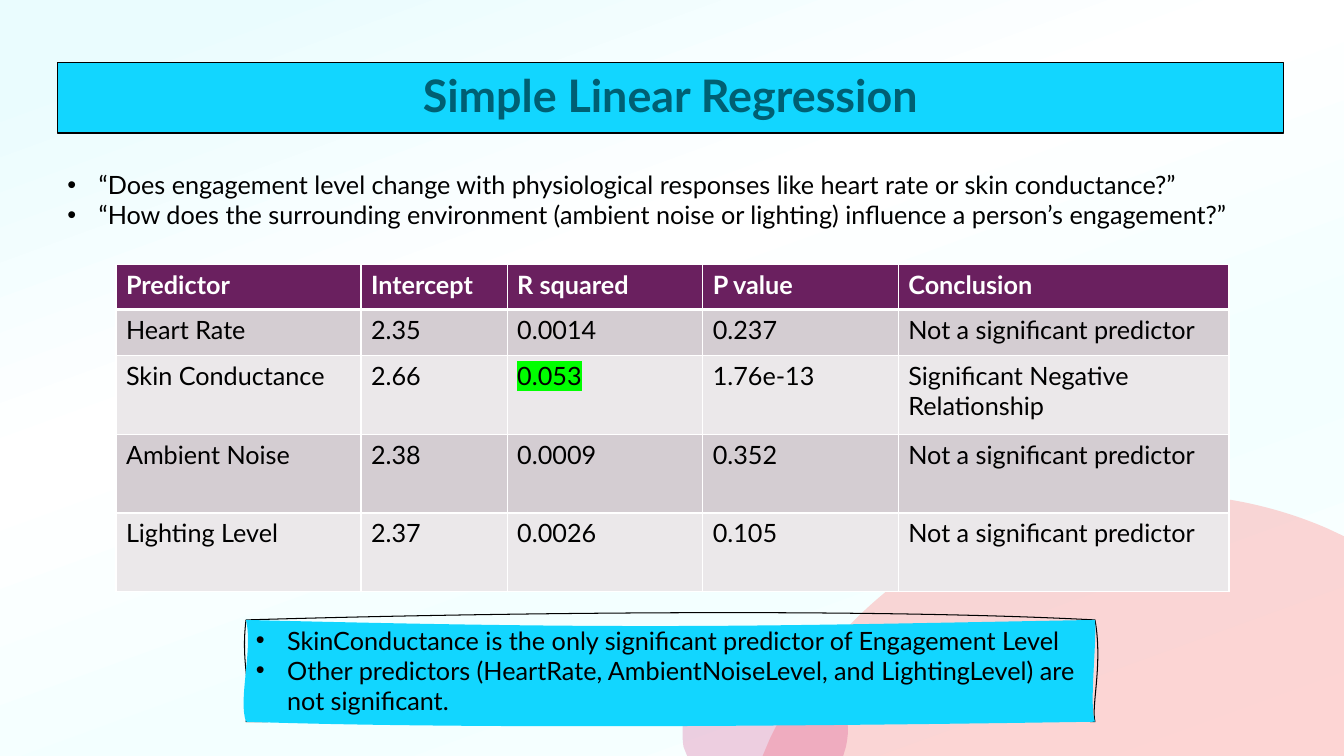
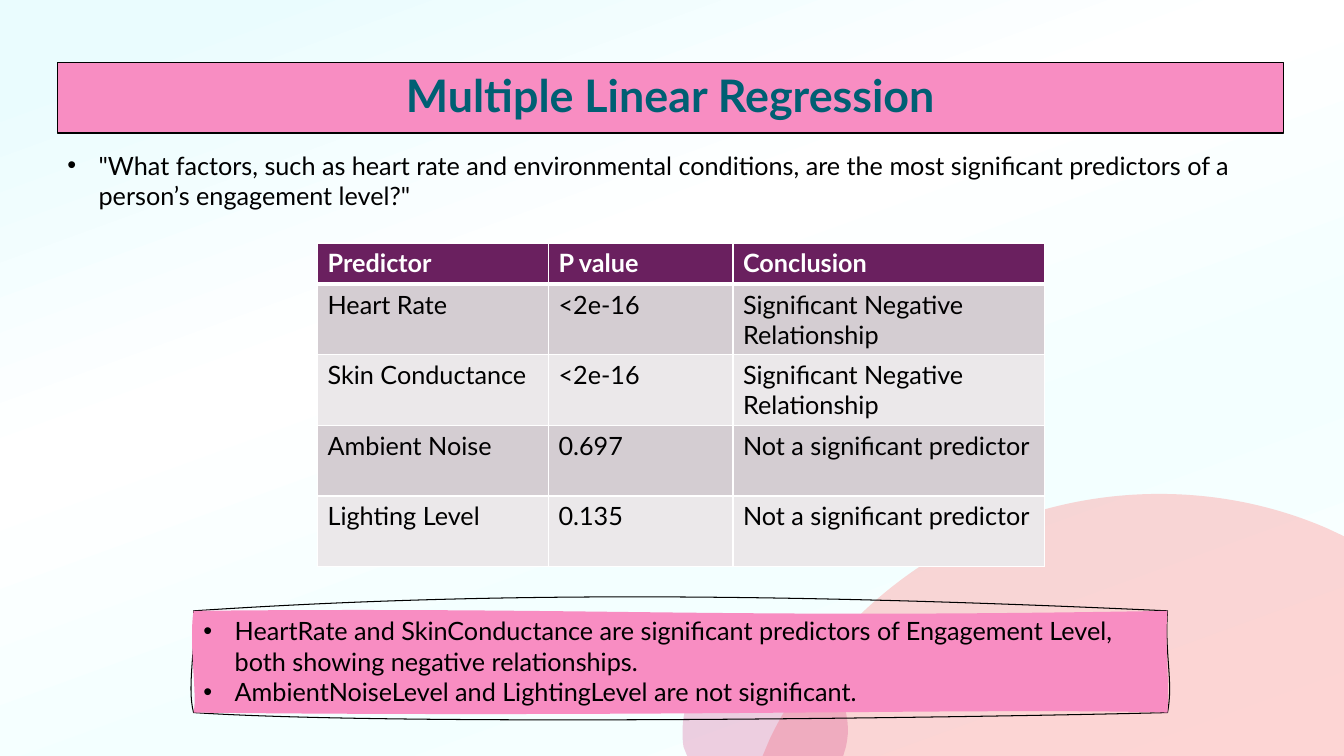
from lxml import etree
from pptx import Presentation
from pptx import util as u
from pptx.dml.color import RGBColor
from pptx.enum import shapes, text
from pptx.oxml.ns import qn

Inches = u.Inches
BLACK = RGBColor(0x00, 0x00, 0x00)
WHITE = RGBColor(0xFF, 0xFF, 0xFF)
TEAL = RGBColor(0x00, 0x5F, 0x73)
CYAN = RGBColor(0x12, 0xD6, 0xFF)
PINK = RGBColor(0xF8, 0x8D, 0xC2)
CORAL = RGBColor(0xFF, 0x76, 0x75)
MAGENTA = RGBColor(0xC4, 0x0C, 0x67)
PLUM = RGBColor(0x6A, 0x20, 0x5F)
DARK_BAND = RGBColor(0xD4, 0xCD, 0xD2)
LIGHT_BAND = RGBColor(0xEB, 0xE8, 0xEA)
GREEN = RGBColor(0x00, 0xFF, 0x00)

TITLE = {"name": "Lato", "size": u.Pt(32), "bold": True}
HEADER = {"name": "Lato", "size": u.Pt(18), "bold": True}
BODY = {"name": "Lato", "size": u.Pt(18), "bold": False}

BACKDROP = [(7, "EAFCFE"), (38, "FFFFFF"), (66, "F3FFFF"), (100, "FDFFFE")]
DISCS = [
    ((7.56, 4.9, 5.77, 2.61), CORAL, 30, (11.5, 4.9), [
        (12.09, 4.9, 12.65, 5.02, 13.16, 5.24), (13.33, 5.32), (13.33, 7.51),
        (7.56, 7.51), (7.64, 7.32), (8.34, 5.89, 9.8, 4.9, 11.5, 4.9)]),
    ((6.77, 6.43, 1.64, 1.08), MAGENTA, 20, (7.59, 6.43), [
        (8.04, 6.43, 8.41, 6.79, 8.41, 7.25), (8.41, 7.3, 8.4, 7.36, 8.39, 7.41),
        (8.36, 7.51), (6.82, 7.51), (6.78, 7.41),
        (6.77, 7.36, 6.77, 7.3, 6.77, 7.25), (6.77, 6.79, 7.13, 6.43, 7.59, 6.43)]),
]
NOT_SIGNIFICANT = "Not a significant predictor"
NEGATIVE = "Significant Negative Relationship"

TOPICS = [
    {
        "title": "Simple Linear Regression",
        "accent": CYAN,
        "questions_top": 1.63,
        "questions": [
            "“Does engagement level change with physiological responses like heart rate or skin conductance?”",
            "“How does the surrounding environment (ambient noise or lighting) influence a person’s engagement?”",
        ],
        "table_at": (1.15, 2.62),
        "columns": [2.43, 1.45, 1.94, 1.94, 3.28],
        "heights": [0.45, 0.46, 0.78, 0.78, 0.78],
        "results": [
            ["Predictor", "Intercept", "R squared", "P value", "Conclusion"],
            ["Heart Rate", "2.35", "0.0014", "0.237", NOT_SIGNIFICANT],
            ["Skin Conductance", "2.66", "0.053", "1.76e-13", NEGATIVE],
            ["Ambient Noise", "2.38", "0.0009", "0.352", NOT_SIGNIFICANT],
            ["Lighting Level", "2.37", "0.0026", "0.105", NOT_SIGNIFICANT],
        ],
        "marked": "0.053",
        "findings_at": (2.44, 6.15, 8.42, 1.01),
        "findings": [
            "SkinConductance is the only significant predictor of Engagement Level",
            "Other predictors (HeartRate, AmbientNoiseLevel, and LightingLevel) are not significant.",
        ],
        "outline": [(4.75, 6.08, 8.57, 6.03), (10.94, 6.59, 10.82, 7.01),
                    (7.83, 7.02, 6.48, 7.12), (2.52, 6.89, 2.38, 6.62)],
        "wash": [(6.4, 6.25, 7.52, 6.21), (10.88, 6.37, 10.8, 7.01),
                 (9.57, 7.18, 5, 7.25), (2.36, 6.94, 2.51, 6.45)],
    },
    {
        "title": "Multiple Linear Regression",
        "accent": PINK,
        "questions_top": 1.44,
        "questions": [
            "\"What factors, such as heart rate and environmental conditions, are the most significant "
            "predictors of a person’s engagement level?\"",
        ],
        "table_at": (3.15, 2.41),
        "columns": [2.29, 1.83, 3.09],
        "heights": [0.41, 0.7, 0.7, 0.7, 0.7],
        "results": [
            ["Predictor", "P value", "Conclusion"],
            ["Heart Rate", "<2e-16", NEGATIVE],
            ["Skin Conductance", "<2e-16", NEGATIVE],
            ["Ambient Noise", "0.697", NOT_SIGNIFICANT],
            ["Lighting Level", "0.135", NOT_SIGNIFICANT],
        ],
        "marked": None,
        "findings_at": (1.92, 6.06, 9.66, 1.01),
        "findings": [
            "HeartRate and SkinConductance are significant predictors of Engagement Level, "
            "both showing negative relationships.",
            "AmbientNoiseLevel and LightingLevel are not significant.",
        ],
        "outline": [(4.63, 5.88, 7.48, 5.87), (11.55, 6.5, 11.64, 6.76),
                    (10.03, 7.11, 4.07, 7.21), (1.85, 6.81, 1.95, 6.39)],
        "wash": [(5.95, 6.02, 6.98, 6.14), (11.55, 6.45, 11.6, 6.62),
                 (9.83, 7.02, 6.64, 7.12), (1.96, 6.9, 1.87, 6.38)],
    },
]


def write(paragraph, words, style, color):
    run = paragraph.add_run()
    run.text = words
    for key, value in style.items():
        setattr(run.font, key, value)
    run.font.color.rgb = color
    return run


def add_curved(slide, box, outlines):
    left, top, width, height = (Inches(length) for length in box)
    builder = slide.shapes.build_freeform(left, top)
    builder.add_line_segments(
        [(left + width, top), (left + width, top + height), (left, top + height)])
    shape = builder.convert_to_shape()
    shape.shadow.inherit = False
    paths = next(shape._element.iter(qn("a:pathLst")))
    paths.remove(paths[0])
    for options, start, segments in outlines:
        outline = etree.SubElement(paths, qn("a:path"), w=str(width), h=str(height), **options)
        for number, numbers in enumerate([start, *segments]):
            kind = "cubicBezTo" if len(numbers) == 6 else "lnTo" if number else "moveTo"
            step = etree.SubElement(outline, qn(f"a:{kind}"))
            for x, y in zip(numbers[::2], numbers[1::2]):
                etree.SubElement(step, qn("a:pt"),
                                 x=str(Inches(x) - left), y=str(Inches(y) - top))
        etree.SubElement(outline, qn("a:close"))
    return shape


prs = Presentation()
prs.slide_width, prs.slide_height = Inches(13.33), Inches(7.5)

backdrop = prs.slide_master.background.fill
backdrop.gradient()
backdrop.gradient_angle = 290
stops = next(prs.slide_master.element.iter(qn("a:gsLst")))
for old_stop in list(stops):
    stops.remove(old_stop)
for position, tint in BACKDROP:
    stop = etree.SubElement(stops, qn("a:gs"), pos=str(position * 1000))
    etree.SubElement(stop, qn("a:srgbClr"), val=tint)

for topic in TOPICS:
    slide = prs.slides.add_slide(prs.slide_layouts[6])

    for box, color, opacity, start, segments in DISCS:
        disc = add_curved(slide, box, [({}, start, segments)])
        disc.line.fill.background()
        disc.fill.solid()
        disc.fill.fore_color.rgb = color
        tint = disc._element.spPr.find(qn("a:solidFill"))[0]
        etree.SubElement(tint, qn("a:alpha"), val=str(opacity * 1000))

    banner = slide.shapes.add_shape(
        shapes.MSO_SHAPE.RECTANGLE, Inches(0.57), Inches(0.62), Inches(12.16), Inches(0.7))
    banner.shadow.inherit = False
    banner.text_frame.vertical_anchor = text.MSO_ANCHOR.MIDDLE
    heading = banner.text_frame.paragraphs[0]
    heading.alignment = text.PP_ALIGN.CENTER
    heading.line_spacing = 0.9
    write(heading, topic["title"], TITLE, TEAL)

    questions = slide.shapes.add_textbox(
        Inches(0.57), Inches(topic["questions_top"]), Inches(12.2), Inches(0.71))

    left, top = topic["table_at"]
    columns, heights, results = topic["columns"], topic["heights"], topic["results"]
    table = slide.shapes.add_table(
        len(results), len(columns), Inches(left), Inches(top),
        Inches(sum(columns)), Inches(sum(heights))).table
    for column, width in zip(table.columns, columns):
        column.width = Inches(width)
    for r, (row, height) in enumerate(zip(results, heights)):
        table.rows[r].height = Inches(height)
        for c, words in enumerate(row):
            cell = table.cell(r, c)
            cell.fill.solid()
            cell.fill.fore_color.rgb = (DARK_BAND if r % 2 else LIGHT_BAND) if r else PLUM
            style, color = (BODY, BLACK) if r else (HEADER, WHITE)
            run = write(cell.text_frame.paragraphs[0], words, style, color)
            if words == topic["marked"]:
                highlight = etree.Element(qn("a:highlight"))
                etree.SubElement(highlight, qn("a:srgbClr"), val=str(GREEN))
                run._r.rPr.find(qn("a:latin")).addprevious(highlight)
            for place, side in enumerate("LRTB"):
                heavy = (r == 0 and side == "B") or (r == 1 and side == "T")
                border = etree.Element(qn(f"a:ln{side}"), w=str(u.Pt(3 if heavy else 1)))
                paint = etree.SubElement(border, qn("a:solidFill"))
                etree.SubElement(paint, qn("a:srgbClr"), val=str(WHITE))
                cell._tc.tcPr.insert(place, border)

    left, top, width, height = topic["findings_at"]
    right, bottom = left + width, top + height
    corners = [(right, top), (right, bottom), (left, bottom), (left, top)]
    outlines = []
    for part, options in (("outline", {"fill": "none"}), ("wash", {"stroke": "0"})):
        sides = [bend + corner for bend, corner in zip(topic[part], corners)]
        outlines.append((options, (left, top), sides))
    findings = add_curved(slide, topic["findings_at"], outlines)

    for panel in (banner, findings):
        panel.fill.solid()
        panel.fill.fore_color.rgb = topic["accent"]
        panel.line.color.rgb = BLACK
        panel.line.width = u.Pt(0.75)

    for holder, part in ((questions, "questions"), (findings, "findings")):
        frame = holder.text_frame
        frame.word_wrap = True
        frame.vertical_anchor = text.MSO_ANCHOR.TOP
        for number, line in enumerate(topic[part]):
            paragraph = frame.add_paragraph() if number else frame.paragraphs[0]
            paragraph.alignment = text.PP_ALIGN.LEFT
            props = paragraph._p.get_or_add_pPr()
            props.set("marL", str(Inches(0.31)))
            props.set("indent", str(-Inches(0.31)))
            etree.SubElement(props, qn("a:buFont"), typeface="Arial")
            etree.SubElement(props, qn("a:buChar"), char="•")
            write(paragraph, line, BODY, BLACK)

prs.save("out.pptx")
